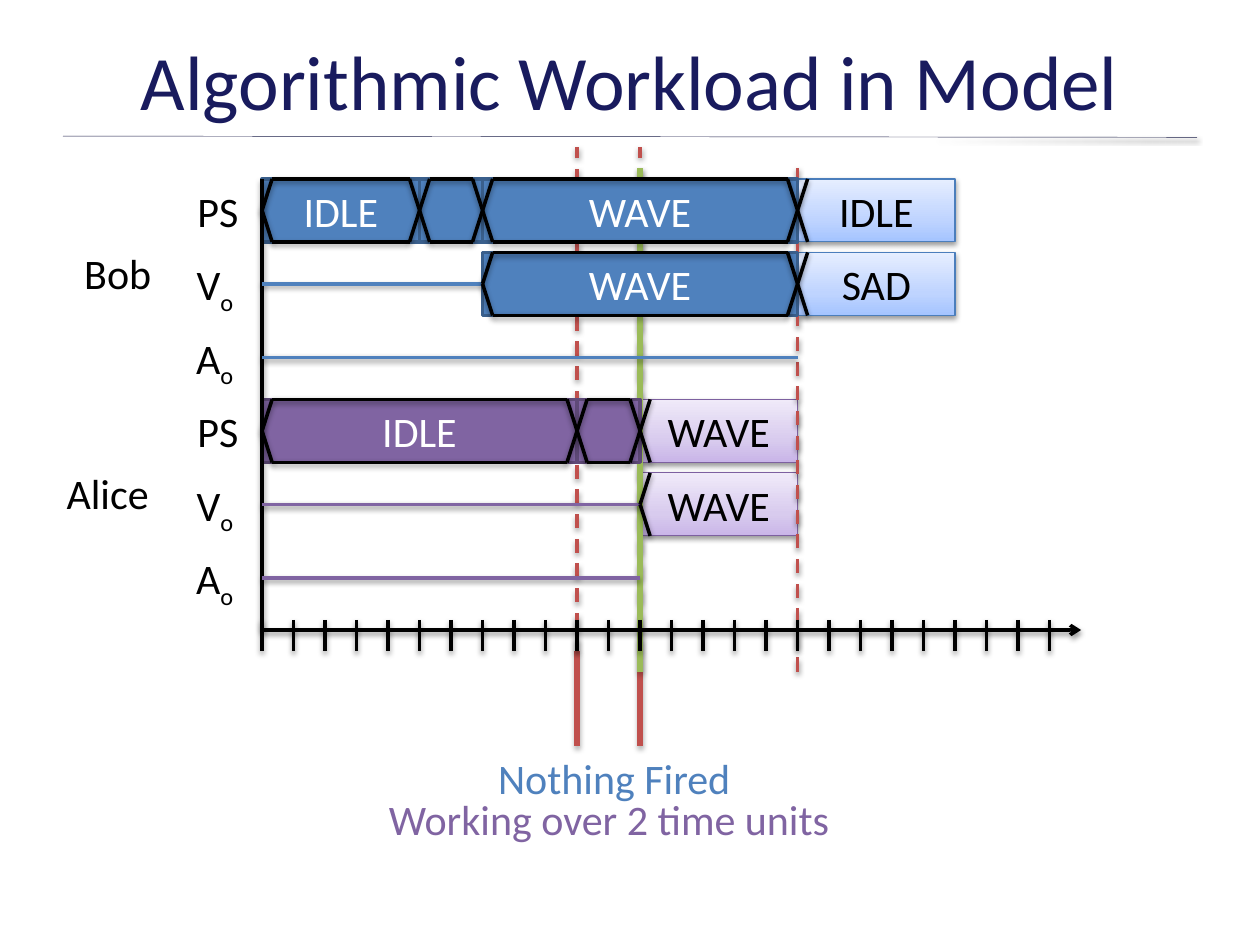
from copy import deepcopy
from dataclasses import dataclass

from lxml import etree
from pptx import Presentation
from pptx import util as u
from pptx.dml.color import RGBColor
from pptx.enum import dml, shapes, text
from pptx.oxml.ns import qn

BLACK, WHITE, RED, GREEN = "000000", "FFFFFF", "C0504D", "9BBB59"
BLUE, PURPLE = "4F81BD", "8064A2"
BORDERS = {BLUE: "3A5F8C", PURPLE: "5F4A78"}
PENDING_BORDERS = {BLUE: "4B7EBC", PURPLE: "7D60A0"}
PENDING_STOPS = {
    BLUE: ("A4C4FF", "BFD4FF", "E6EEFF"),
    PURPLE: ("C9B5E8", "D8CBEE", "F0EAF9"),
}
AXIS_LEFT, AXIS_Y, UNIT = 2.08, 5.0, 0.25
FIRST_ROW, ROW_PITCH, ROW_HEIGHT = 1.42, 7 / 12, 0.5
SLANT = 0.08
LAST_TICK = 25


@dataclass
class Cell:
    """A signal state lasting from one time unit to another."""
    row: int
    start: int
    end: int
    color: str
    state: str = ""
    opens_row: bool = False


@dataclass
class Label:
    words: str
    left: float
    top: float
    width: float
    color: str = BLACK
    subscript: str = ""
    align: text.PP_ALIGN = text.PP_ALIGN.CENTER
    size: int = 24
    height: float = 0.5
    anchor: text.MSO_ANCHOR = text.MSO_ANCHOR.TOP


PENDING = [
    Cell(3, 12, 17, PURPLE, "WAVE"),
    Cell(4, 12, 17, PURPLE, "WAVE", opens_row=True),
    Cell(1, 17, 22, BLUE, "SAD"),
    Cell(0, 17, 22, BLUE, "IDLE"),
]
DONE = [
    Cell(0, 0, 5, BLUE, "IDLE", opens_row=True),
    Cell(0, 5, 7, BLUE),
    Cell(0, 7, 17, BLUE, "WAVE"),
    Cell(1, 7, 17, BLUE, "WAVE", opens_row=True),
    Cell(3, 0, 10, PURPLE, "IDLE", opens_row=True),
    Cell(3, 10, 12, PURPLE),
]
# row, time unit where the quiet signal ends, colour
QUIET = [(1, 7, BLUE), (2, 17, BLUE), (4, 12, PURPLE), (5, 12, PURPLE)]
# signal name, subscript, left edge of its label
SIGNALS = [("PS", "", 1.42), ("V", "o", 1.38), ("A", "o", 1.38)]


def time_x(time: float) -> float:
    return AXIS_LEFT + UNIT * time


def row_y(row: int) -> float:
    return FIRST_ROW + ROW_PITCH * row


def rgb(value: str) -> RGBColor:
    return RGBColor.from_string(value)


def add_shadow(shape, alpha: int = 38, distance: float = 1.6) -> None:
    effects = etree.SubElement(shape._element.spPr, qn("a:effectLst"))
    outer = etree.SubElement(
        effects, qn("a:outerShdw"), blurRad=str(u.Pt(3.1)),
        dist=str(u.Pt(distance)), dir="5400000", rotWithShape="0")
    color = etree.SubElement(outer, qn("a:srgbClr"), val=BLACK)
    etree.SubElement(color, qn("a:alpha"), val=str(alpha * 1000))


def draw_line(slide, x1: float, y1: float, x2: float, y2: float,
              color: str = BLACK, width: float = 2, dashed: bool = False,
              arrow: bool = False) -> None:
    line = slide.shapes.add_connector(
        shapes.MSO_CONNECTOR.STRAIGHT,
        *(u.Inches(value) for value in (x1, y1, x2, y2)))
    line.line.color.rgb = rgb(color)
    line.line.width = u.Pt(width)
    if dashed:
        line.line.dash_style = dml.MSO_LINE.DASH
    if arrow:
        etree.SubElement(line.line._ln, qn("a:tailEnd"), type="arrow")
    if width > 2:
        add_shadow(line, alpha=35, distance=1.8)
    else:
        add_shadow(line)


def add_run(paragraph, words: str, color: str, size: int = 24):
    run = paragraph.add_run()
    run.text = words
    for name, value in {"name": "Calibri", "size": u.Pt(size)}.items():
        setattr(run.font, name, value)
    run.font.color.rgb = rgb(color)
    return run


def draw_label(slide, label: Label) -> None:
    box = slide.shapes.add_textbox(*(u.Inches(value) for value in (
        label.left, label.top, label.width, label.height)))
    layout = {"word_wrap": True, "vertical_anchor": label.anchor}
    for name, value in layout.items():
        setattr(box.text_frame, name, value)
    paragraph = box.text_frame.paragraphs[0]
    paragraph.alignment = label.align
    add_run(paragraph, label.words, label.color, label.size)
    if label.subscript:
        lowered = add_run(paragraph, label.subscript, label.color, label.size)
        lowered.font._element.set("baseline", "-25000")


def draw_cell(slide, cell: Cell, pending: bool = False) -> None:
    box = slide.shapes.add_shape(
        shapes.MSO_SHAPE.RECTANGLE,
        *(u.Inches(value) for value in (
            time_x(cell.start), row_y(cell.row),
            UNIT * (cell.end - cell.start), ROW_HEIGHT)))
    borders = PENDING_BORDERS if pending else BORDERS
    box.line.color.rgb = rgb(borders[cell.color])
    box.line.width = u.Pt(0.75 if pending else 2)
    if pending:
        box.fill.gradient()
        box.fill.gradient_angle = 90
        stops = box._element.spPr.find(".//" + qn("a:gsLst"))
        stops.insert(1, deepcopy(stops[0]))
        for stop, position, color in zip(
                box.fill.gradient_stops, (0, 0.35, 1), PENDING_STOPS[cell.color]):
            stop.position = position
            stop.color.rgb = rgb(color)
        add_shadow(box)
    else:
        box.fill.solid()
        box.fill.fore_color.rgb = rgb(cell.color)
        box.shadow.inherit = False
    if cell.state:
        box.text_frame.vertical_anchor = text.MSO_ANCHOR.MIDDLE
        paragraph = box.text_frame.paragraphs[0]
        paragraph.alignment = text.PP_ALIGN.CENTER
        add_run(paragraph, cell.state, BLACK if pending else WHITE)


def draw_opening(slide, cell: Cell) -> None:
    """Draw the pointed left end of a row's first state."""
    x, top = time_x(cell.start), row_y(cell.row)
    for end in (top, top + ROW_HEIGHT):
        draw_line(slide, x, top + ROW_HEIGHT / 2, x + SLANT, end)


def draw_outline(slide, cell: Cell) -> None:
    """Draw top and bottom edges and the crossing into the next state."""
    left, right = time_x(cell.start), time_x(cell.end)
    top, bottom = row_y(cell.row), row_y(cell.row) + ROW_HEIGHT
    for y, opposite in ((top, bottom), (bottom, top)):
        draw_line(slide, left + SLANT, y, right - SLANT, y)
        draw_line(slide, right - SLANT, y, right + SLANT, opposite)


def main() -> None:
    deck = Presentation()
    deck.slide_width, deck.slide_height = u.Inches(10), u.Inches(7.5)
    slide = deck.slides.add_slide(deck.slide_layouts[6])

    draw_line(slide, 0.5, 1.08, 9.5, 1.09, "1A1C47", 0.25)
    draw_label(slide, Label("Algorithmic Workload in Model", 0.5, 0.17, 9, "191B5E",
                            size=44, height=0.92, anchor=text.MSO_ANCHOR.MIDDLE))
    for time in (12, 10):
        draw_line(slide, time_x(time), 5.17, time_x(time), 5.92, RED, 3)
        draw_line(slide, time_x(time), 5.17, time_x(time), 1.17, RED, dashed=True)
    draw_label(slide, Label("Nothing Fired", 2.75, 5.92, 4.25, BLUE))
    draw_label(slide, Label("Working over 2 time units", 2.75, 6.25, 4.17, PURPLE))

    for cell in PENDING:
        draw_cell(slide, cell, pending=True)
    draw_line(slide, time_x(12), 5.33, time_x(12), 1.33, GREEN, 3)
    draw_line(slide, time_x(17), 5.33, time_x(17), 1.33, RED, dashed=True)
    for cell in DONE:
        draw_cell(slide, cell)

    draw_line(slide, AXIS_LEFT, AXIS_Y, time_x(26), AXIS_Y, arrow=True)
    draw_line(slide, AXIS_LEFT, AXIS_Y, AXIS_LEFT, FIRST_ROW)
    for tick in range(LAST_TICK + 1):
        draw_line(slide, time_x(tick), 4.92, time_x(tick), 5.17)

    for person, left, first_row in (("Bob", 0.5, 0), ("Alice", 0.42, 3)):
        draw_label(slide, Label(person, left, row_y(first_row + 1) - 0.09, 0.87))
        for row, (signal, subscript, signal_left) in enumerate(SIGNALS, first_row):
            draw_label(slide, Label(signal, signal_left, row_y(row), 0.57,
                                    subscript=subscript, align=text.PP_ALIGN.RIGHT))

    for row, end, color in QUIET:
        y = row_y(row) + ROW_HEIGHT / 2
        draw_line(slide, AXIS_LEFT, y, time_x(end), y, color)
    for cell in DONE:
        draw_outline(slide, cell)
    for cell in DONE + PENDING:
        if cell.opens_row:
            draw_opening(slide, cell)

    deck.save("out.pptx")


if __name__ == "__main__":
    main()
